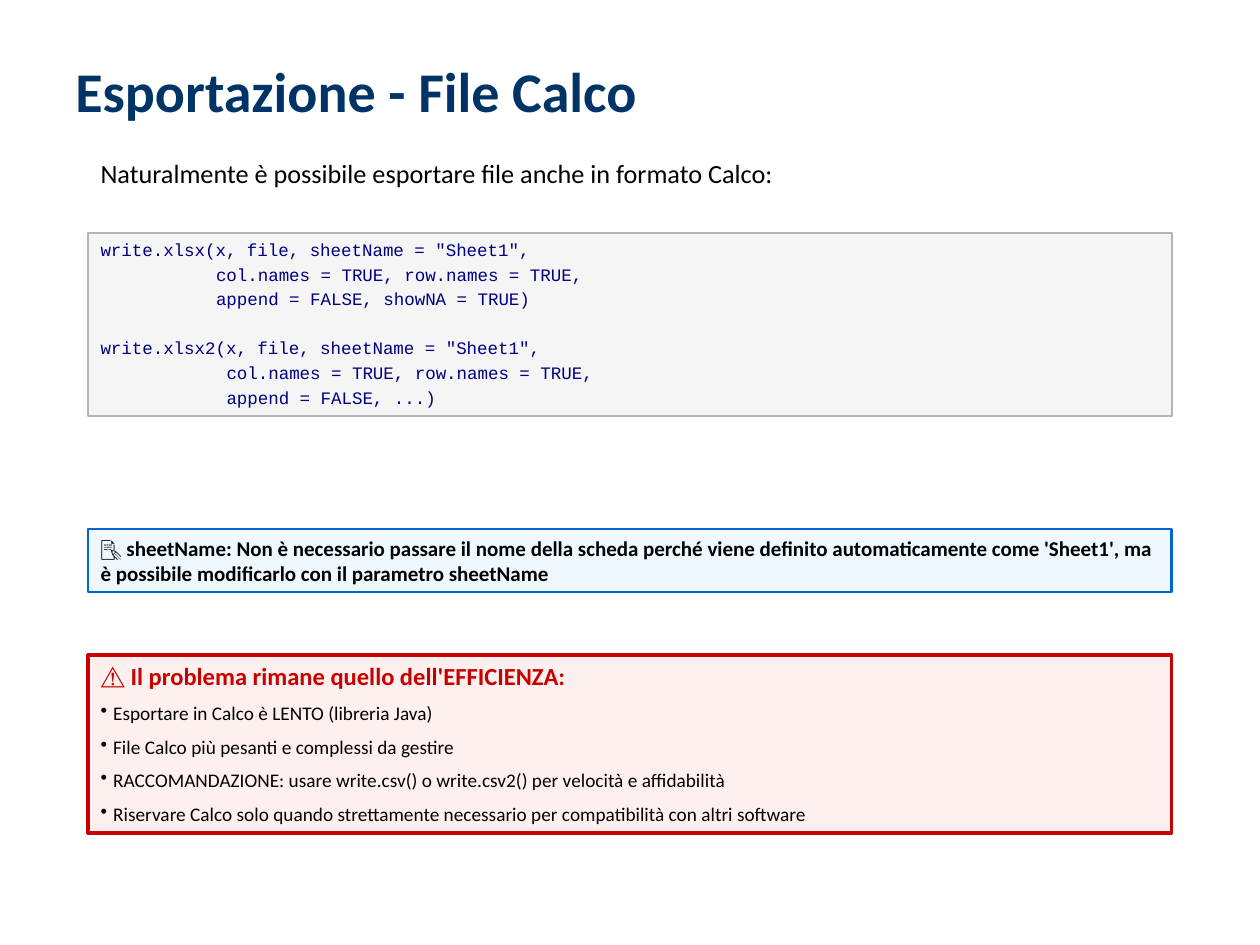
import pptx
import pptx.dml.color
import pptx.enum.shapes
import pptx.enum.text
import pptx.oxml
import pptx.util
from pptx.util import Inches

COLORS = {
    "title": "003366", "text": "000000", "code": "000080", "alert": "C80000",
    "code_fill": "F5F5F5", "code_line": "B4B4B4",
    "note_fill": "F0F8FF", "note_line": "0066CC", "alert_fill": "FFF0F0",
}
LEFT, WIDTH = 0.7, 8.6
CODE_CHARACTER = 6 / 72  # inches, Courier New at 10 pt

# Text, indent in characters, space before in points
CODE_LINES = [
    ('write.xlsx(x, file, sheetName = "Sheet1",', 0, 0),
    ("col.names = TRUE, row.names = TRUE,", 11, 2),
    ("append = FALSE, showNA = TRUE)", 11, 2),
    ('write.xlsx2(x, file, sheetName = "Sheet1",', 0, 16),
    ("col.names = TRUE, row.names = TRUE,", 12, 2),
    ("append = FALSE, ...)", 12, 2),
]
EFFICIENCY_POINTS = [
    "Esportare in Calco è LENTO (libreria Java)",
    "File Calco più pesanti e complessi da gestire",
    "RACCOMANDAZIONE: usare write.csv() o write.csv2() per velocità e affidabilità",
    "Riservare Calco solo quando strettamente necessario per compatibilità con altri software",
]


def rgb(name):
    return pptx.dml.color.RGBColor.from_string(COLORS[name])


def prepare_frame(shape):
    frame = shape.text_frame
    frame.word_wrap = True
    frame.vertical_anchor = pptx.enum.text.MSO_ANCHOR.TOP
    return frame


def add_text_box(slide, left, top, width, height):
    return prepare_frame(slide.shapes.add_textbox(
        Inches(left), Inches(top), Inches(width), Inches(height)))


def add_panel(slide, top, height, fill, line, line_width):
    """Add a full-width bordered rectangle and return its text frame."""
    panel = slide.shapes.add_shape(
        pptx.enum.shapes.MSO_SHAPE.RECTANGLE,
        Inches(LEFT), Inches(top), Inches(WIDTH), Inches(height))
    panel.shadow.inherit = False
    panel.fill.solid()
    panel.fill.fore_color.rgb = rgb(fill)
    panel.line.color.rgb = rgb(line)
    panel.line.width = pptx.util.Pt(line_width)
    return prepare_frame(panel)


def write_paragraph(frame, text, size, color="text", font="Calibri", bold=False,
                    before=0, indent=0, bullet=False):
    """Fill the empty first paragraph, or append one; indent is in inches."""
    paragraph = frame.paragraphs[0]
    if paragraph.runs:
        paragraph = frame.add_paragraph()
    paragraph.alignment = pptx.enum.text.PP_ALIGN.LEFT
    paragraph.space_before = pptx.util.Pt(before)
    run = paragraph.add_run()
    run.text = text
    run.font.size = pptx.util.Pt(size)
    run.font.name = font
    run.font.bold = bold
    run.font.color.rgb = rgb(color)
    properties = paragraph._p.get_or_add_pPr()
    if indent:
        properties.set("marL", str(Inches(indent)))
    if bullet:
        properties.set("indent", str(-Inches(indent)))
        properties.append(pptx.oxml.parse_xml(
            '<a:buChar xmlns:a="http://schemas.openxmlformats.org/'
            'drawingml/2006/main" char="•"/>'))


def add_code_panel(slide):
    frame = add_panel(slide, 1.85, 1.45, "code_fill", "code_line", 1)
    for text, characters, before in CODE_LINES:
        write_paragraph(frame, text, 10, color="code", font="Courier New",
                        before=before, indent=characters * CODE_CHARACTER)


def add_efficiency_panel(slide):
    frame = add_panel(slide, 5.2, 1.41, "alert_fill", "alert", 2)
    write_paragraph(frame, "⚠️ Il problema rimane quello dell'EFFICIENZA:", 14,
                    color="alert", bold=True)
    for text in EFFICIENCY_POINTS:
        write_paragraph(frame, text, 11, before=6, indent=0.1, bullet=True)


def main():
    presentation = pptx.Presentation()
    presentation.slide_width = Inches(10)
    presentation.slide_height = Inches(7.5)
    slide = presentation.slides.add_slide(presentation.slide_layouts[6])

    title = add_text_box(slide, 0.5, 0.4, 9, 0.64)
    write_paragraph(title, "Esportazione - File Calco", 32, color="title", bold=True)
    introduction = add_text_box(slide, LEFT, 1.2, WIDTH, 0.35)
    write_paragraph(introduction,
                    "Naturalmente è possibile esportare file anche in formato Calco:", 15)
    add_code_panel(slide)
    note = add_panel(slide, 4.2, 0.5, "note_fill", "note_line", 1.5)
    write_paragraph(note, "📝 sheetName: Non è necessario passare il nome della scheda "
                    "perché viene definito automaticamente come 'Sheet1', ma è possibile "
                    "modificarlo con il parametro sheetName", 12, bold=True)
    add_efficiency_panel(slide)
    presentation.save("out.pptx")


if __name__ == "__main__":
    main()
